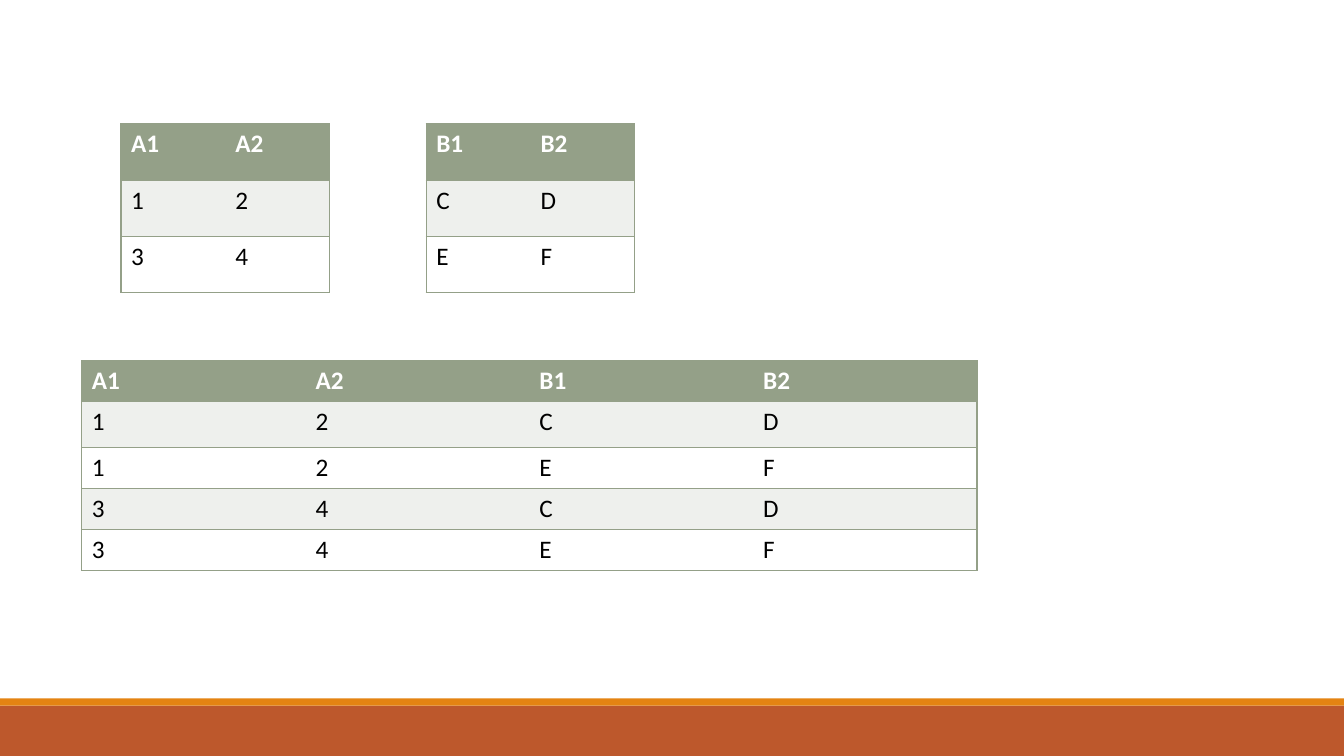
from itertools import product

from lxml.etree import SubElement
from pptx import Presentation
from pptx.dml.color import RGBColor
from pptx.enum.shapes import MSO_SHAPE as Shape
from pptx.oxml.ns import qn
from pptx.util import Cm, Pt

SAGE = RGBColor(0x94, 0xA0, 0x88)
PALE_SAGE = RGBColor(0xEE, 0xF0, 0xED)
WHITE = RGBColor(0xFF, 0xFF, 0xFF)
BLACK = RGBColor(0, 0, 0)
RUST = RGBColor(0xBD, 0x58, 0x2C)
ORANGE = RGBColor(0xE4, 0x83, 0x12)

SLIDE_WIDTH, SLIDE_HEIGHT = 33.87, 19.05


def write(frame, text, font="Calibri", size=18, color=BLACK, bold=False):
    run = frame.paragraphs[0].add_run()
    run.text = text
    run.font.name = font
    run.font.size = Pt(size)
    run.font.color.rgb = color
    run.font.bold = bold


def set_borders(cell, visible, color=SAGE, width=1):
    """Draw the sides named in visible and hide the others."""
    properties = cell._tc.get_or_add_tcPr()
    for side in "LRTB":
        line = SubElement(properties, qn(f"a:ln{side}"), w=str(Pt(width)))
        if side in visible:
            fill = SubElement(line, qn("a:solidFill"))
            SubElement(fill, qn("a:srgbClr"), val=str(color))
        else:
            SubElement(line, qn("a:noFill"))


class RelationSlide:
    """A slide of relations, shown as tables with banded rows."""

    def __init__(self, slide):
        self.slide = slide
        self.header_fill = SAGE
        self.row_fills = (PALE_SAGE, WHITE)

    def band(self, top, height, color):
        stripe = self.slide.shapes.add_shape(
            Shape.RECTANGLE, 0, Cm(top), Cm(SLIDE_WIDTH), Cm(height))
        stripe.shadow.inherit = False
        stripe.fill.solid()
        stripe.fill.fore_color.rgb = color
        stripe.line.fill.background()

    def relation(self, header, records, left, top, column_width, row_heights):
        rows = [header, *records]
        last = len(header) - 1
        table = self.slide.shapes.add_table(
            len(rows), len(header), Cm(left), Cm(top),
            Cm(column_width * len(header)), Cm(sum(row_heights))).table
        for column in table.columns:
            column.width = Cm(column_width)
        for r, (values, height) in enumerate(zip(rows, row_heights)):
            table.rows[r].height = Cm(height)
            is_header = r == 0
            fill = self.header_fill if is_header else self.row_fills[(r - 1) % 2]
            for c, value in enumerate(values):
                cell = table.cell(r, c)
                set_borders(cell, "TB" + "L" * (c == 0) + "R" * (c == last))
                cell.fill.solid()
                cell.fill.fore_color.rgb = fill
                write(cell.text_frame, value, bold=is_header,
                      color=WHITE if is_header else BLACK)


def main():
    deck = Presentation()
    deck.slide_width, deck.slide_height = Cm(SLIDE_WIDTH), Cm(SLIDE_HEIGHT)
    page = RelationSlide(deck.slides.add_slide(deck.slide_layouts[6]))

    # Footer bands
    page.band(17.78, 1.27, RUST)
    page.band(17.6, 0.18, ORANGE)

    # The two relations
    a_header, a_records = ["A1", "A2"], [["1", "2"], ["3", "4"]]
    b_header, b_records = ["B1", "B2"], [["C", "D"], ["E", "F"]]
    page.relation(a_header, a_records, 3.05, 3.12, 2.63, [1.42] * 3)
    page.relation(b_header, b_records, 10.74, 3.12, 2.63, [1.42] * 3)

    # Their Cartesian product
    pairs = [a + b for a, b in product(a_records, b_records)]
    page.relation(a_header + b_header, pairs, 2.06, 9.09, 5.64,
                  [1.03, 1.16, 1.03, 1.03, 1.03])

    deck.save("out.pptx")


if __name__ == "__main__":
    main()
